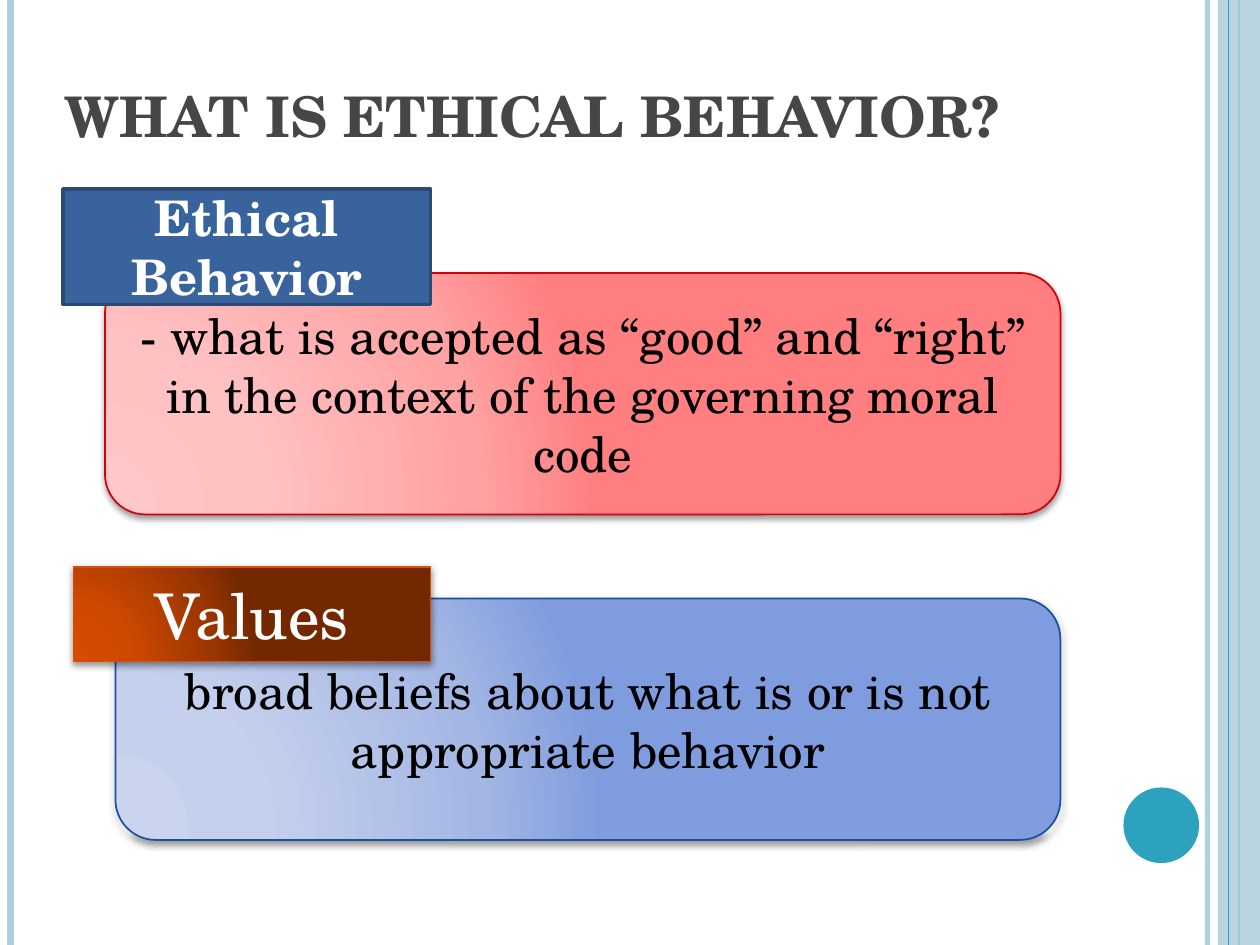
from dataclasses import dataclass

from lxml import etree
from pptx import Presentation
from pptx.dml.color import RGBColor
from pptx.enum.shapes import MSO_CONNECTOR, MSO_SHAPE
from pptx.enum.text import MSO_ANCHOR, PP_ALIGN
from pptx.oxml import parse_xml
from pptx.oxml.ns import nsdecls, qn
from pptx.util import Pt

STRAIGHT = MSO_CONNECTOR.STRAIGHT
RECTANGLE = MSO_SHAPE.RECTANGLE
ROUNDED = MSO_SHAPE.ROUNDED_RECTANGLE
OVAL = MSO_SHAPE.OVAL
MIDDLE = MSO_ANCHOR.MIDDLE
BOTTOM = MSO_ANCHOR.BOTTOM
CENTER = PP_ALIGN.CENTER
LEFT = PP_ALIGN.LEFT

WIDTH, HEIGHT = 720, 540
STOPS = (0, 30, 75, 100)


@dataclass(frozen=True)
class Theme:
    font: str = "TeX Gyre Schola"
    title_size: int = 40
    body_size: int = 28
    values_size: int = 36
    title: str = "464646"
    dark: str = "000000"
    light: str = "FFFFFF"
    pale: str = "ADCEDC"
    teal: str = "2DA2BF"
    blue: str = "39639D"
    blue_edge: str = "2A4974"
    red_fill: tuple = ("FFC8C8", "FFC2C3", "FFA2A3", "FF7F81")
    red_edge: str = "D5000A"
    sky_fill: tuple = ("CAD4EE", "C5D0ED", "A4B7E4", "7F9CDE")
    sky_edge: str = "1B519C"
    orange_fill: tuple = ("D64B00", "CF4900", "9B3600", "732800")
    orange_edge: str = "E04F00"


THEME = Theme()


def rgb(color):
    return RGBColor.from_string(color)


def set_alpha(element, percent):
    color = next(element.iter(qn("a:srgbClr")))
    etree.SubElement(color, qn("a:alpha"), val=str(percent * 1000))


def add_rule(slide, x, color, width, alpha=100):
    connector = slide.shapes.add_connector(STRAIGHT, Pt(x), 0, Pt(x), Pt(HEIGHT))
    connector.line.color.rgb = rgb(color)
    connector.line.width = Pt(width)
    properties = connector._element.spPr
    if alpha < 100:
        set_alpha(properties, alpha)
    etree.SubElement(properties, qn("a:effectLst"))


def set_gradient(shape, colors):
    shape.fill.background()
    stops = "".join(
        f'<a:gs pos="{position * 1000}"><a:srgbClr val="{color}"/></a:gs>'
        for position, color in zip(STOPS, colors)
    )
    gradient = parse_xml(
        f'<a:gradFill {nsdecls("a")} rotWithShape="1"><a:gsLst>{stops}</a:gsLst>'
        '<a:path path="circle">'
        '<a:fillToRect l="5000" t="100000" r="120000" b="10000"/>'
        "</a:path></a:gradFill>"
    )
    properties = shape._element.spPr
    properties.replace(properties.find(qn("a:noFill")), gradient)


def set_shadow(shape, alpha, distance):
    effects = shape._element.spPr.find(qn("a:effectLst"))
    shadow = etree.SubElement(
        effects, qn("a:outerShdw"), blurRad=str(Pt(4)), dist=str(Pt(distance)),
        dir="5400000", rotWithShape="0",
    )
    etree.SubElement(shadow, qn("a:srgbClr"), val="000000")
    set_alpha(shadow, alpha)


def add_block(slide, kind, box, fill, edge=None, edge_width=1):
    shape = slide.shapes.add_shape(kind, *map(Pt, box))
    shape.shadow.inherit = False
    if isinstance(fill, tuple):
        set_gradient(shape, fill)
    else:
        shape.fill.solid()
        shape.fill.fore_color.rgb = rgb(fill)
    if edge:
        shape.line.color.rgb = rgb(edge)
        shape.line.width = Pt(edge_width)
    else:
        shape.line.fill.background()
    return shape


def set_text(shape, text, size, color, bold=False, anchor=MIDDLE, align=CENTER):
    frame = shape.text_frame
    frame.text = text
    frame.word_wrap = True
    frame.vertical_anchor = anchor
    paragraph = frame.paragraphs[0]
    paragraph.alignment = align
    font = paragraph.runs[0].font
    font.name = THEME.font
    font.size = Pt(size)
    font.bold = bold
    font.color.rgb = rgb(color)
    return font


def add_title(slide, text):
    title = slide.shapes.add_textbox(Pt(30), 0, Pt(588), Pt(90))
    font = set_text(title, text, THEME.title_size, THEME.title, True, BOTTOM, LEFT)
    font._element.set("cap", "small")


def add_frame(slide):
    add_rule(slide, 690, THEME.pale, 3, 93)
    add_rule(slide, 6, THEME.pale, 4.5)
    add_rule(slide, 708, THEME.teal, 1.5)
    band = add_block(slide, RECTANGLE, (696, 0, WIDTH - 696, HEIGHT), THEME.pale)
    set_alpha(band._element.spPr, 87)
    add_rule(slide, 702, THEME.teal, 0.75)
    add_block(slide, OVAL, (642, 450, 43.2, 43.2), THEME.teal)


def add_definition(slide, box, fill, edge, text):
    panel = add_block(slide, ROUNDED, box, fill, edge)
    set_shadow(panel, 40, 2)
    set_text(panel, text, THEME.body_size, THEME.dark)


def main():
    presentation = Presentation()
    presentation.slide_width = Pt(WIDTH)
    presentation.slide_height = Pt(HEIGHT)
    slide = presentation.slides.add_slide(presentation.slide_layouts[6])

    add_frame(slide)
    add_title(slide, "what is ethical behavior?")
    add_definition(
        slide, (60, 156, 546, 138), THEME.red_fill, THEME.red_edge,
        "- what is accepted as “good” and “right” in the context of the "
        "governing moral code",
    )
    add_definition(
        slide, (66, 342, 540, 138), THEME.sky_fill, THEME.sky_edge,
        "broad beliefs about what is or is not appropriate behavior",
    )

    behavior = add_block(
        slide, RECTANGLE, (36, 108, 210, 66), THEME.blue, THEME.blue_edge, 2
    )
    set_text(behavior, "Ethical Behavior", THEME.body_size, THEME.light, True)
    values = add_block(
        slide, RECTANGLE, (42, 324, 204, 54), THEME.orange_fill, THEME.orange_edge
    )
    set_shadow(values, 42, 1.6)
    set_text(values, "Values", THEME.values_size, THEME.light)

    presentation.save("out.pptx")


if __name__ == "__main__":
    main()
